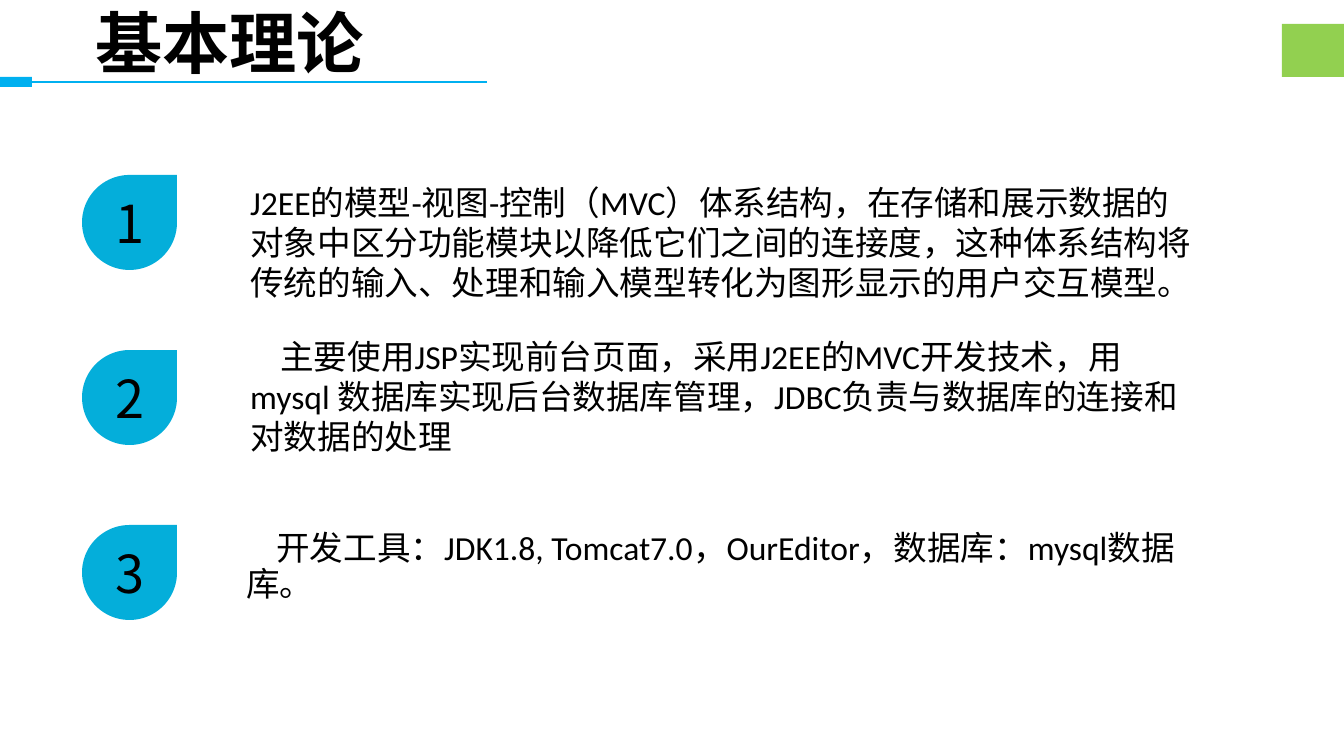
import pptx
import pptx.dml.color
import pptx.enum.shapes
import pptx.enum.text
import pptx.oxml.ns
import pptx.util
import lxml.etree

PX = 914400 / 134.4
COLORS = {"sky": "00B0F0", "green": "92D050", "drop": "04AEDA", "text": "000000"}
SHAPES = pptx.enum.shapes.MSO_SHAPE

deck = pptx.Presentation()
deck.slide_width = round(1344 * PX)
deck.slide_height = round(756 * PX)
page = deck.slides.add_slide(deck.slide_layouts[6])


def add_block(kind, bounds, color):
    block = page.shapes.add_shape(kind, *[round(value * PX) for value in bounds])
    block.shadow.inherit = False
    block.fill.solid()
    block.fill.fore_color.rgb = pptx.dml.color.RGBColor.from_string(COLORS[color])
    block.line.fill.background()
    return block


def write_text(box, text, size, font="Calibri", bold=False):
    box.text_frame.word_wrap = True
    para = box.text_frame.paragraphs[0]
    span = para.add_run()
    span.text = text
    span.font.size = pptx.util.Pt(size)
    span.font.name = font
    span.font.bold = bold
    span.font.color.rgb = pptx.dml.color.RGBColor.from_string(COLORS["text"])
    return para


# Title rule with its end block
rule = page.shapes.add_connector(
    pptx.enum.shapes.MSO_CONNECTOR.STRAIGHT,
    *[round(value * PX) for value in (487, 82, 31, 82)])
rule.line.color.rgb = pptx.dml.color.RGBColor.from_string(COLORS["sky"])
rule.line.width = pptx.util.Pt(0.75)
lxml.etree.SubElement(rule._element.spPr, pptx.oxml.ns.qn("a:effectLst"))
add_block(SHAPES.RECTANGLE, (0, 77, 32, 10), "sky")

# Title
title = page.shapes.add_textbox(*[round(value * PX) for value in (82, 28, 375, 62)])
title_para = write_text(title, "基本理论", 36, bold=True)
title_para.line_spacing = pptx.util.Pt(25.6)

# Corner block
add_block(SHAPES.RECTANGLE, (1282, 24, 62, 53), "green")

# Numbered drops
for index in range(3):
    drop = add_block(SHAPES.TEAR, (82, 175 + 175 * index, 95, 95), "drop")
    drop.text_frame.vertical_anchor = pptx.enum.text.MSO_ANCHOR.MIDDLE
    number = write_text(drop, str(index + 1), 28, "Noto Sans CJK SC")
    number.alignment = pptx.enum.text.PP_ALIGN.CENTER

# Descriptions: bounds, first-line indent, line spacing, text
descriptions = [
    ((237, 175, 976, 134), 0, 1.0,
     "J2EE的模型-视图-控制（MVC）体系结构，在存储和展示数据的对象中区分功能模块以降低它们之间的连接度，"
     "这种体系结构将传统的输入、处理和输入模型转化为图形显示的用户交互模型。"),
    ((237, 329, 976, 134), 30, 1.0,
     "主要使用JSP实现前台页面，采用J2EE的MVC开发技术，用mysql 数据库实现后台数据库管理，"
     "JDBC负责与数据库的连接和对数据的处理"),
    ((233, 525, 976, 86), 30, 0.9,
     "开发工具：JDK1.8, Tomcat7.0，OurEditor，数据库：mysql数据库。"),
]
for bounds, indent, spacing, text in descriptions:
    box = page.shapes.add_textbox(*[round(value * PX) for value in bounds])
    para = write_text(box, text, 18)
    para.line_spacing = spacing
    para._p.get_or_add_pPr().set("indent", str(round(indent * PX)))

deck.save("out.pptx")
